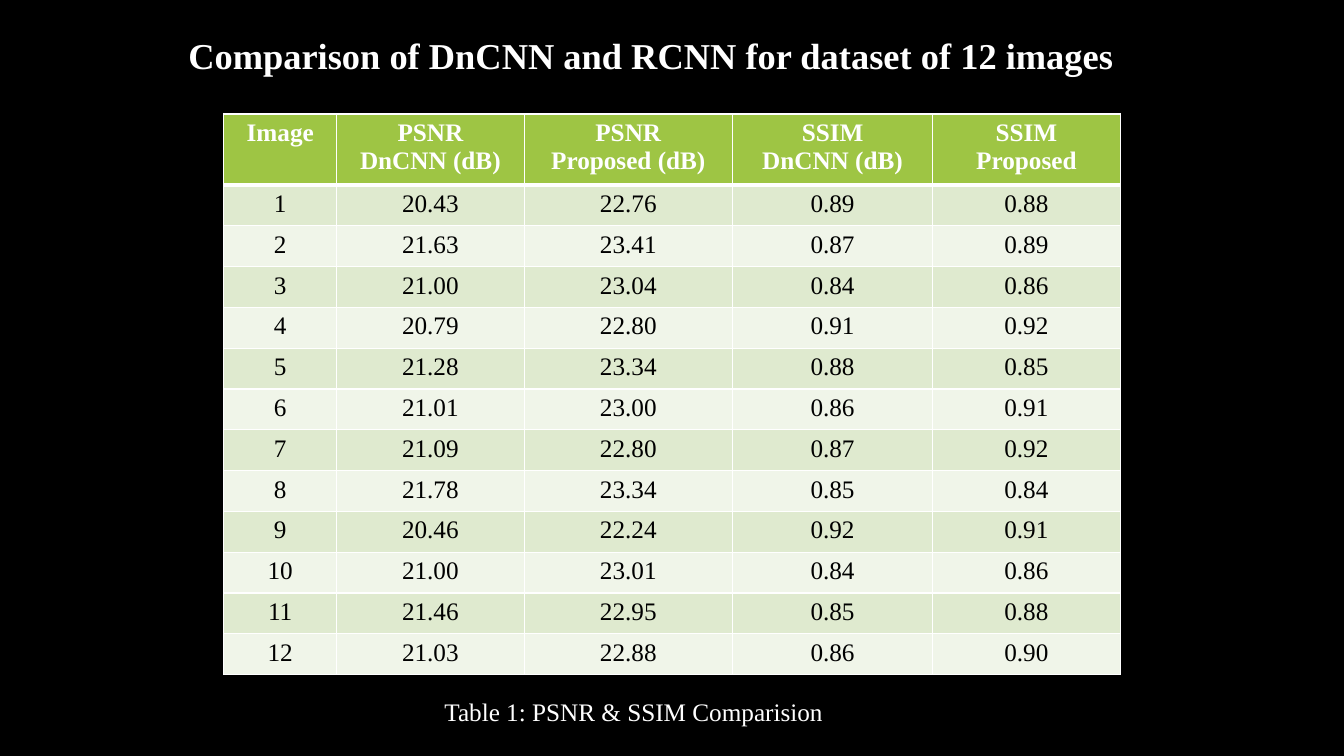
from pptx import Presentation
from pptx.dml.color import RGBColor
from pptx.enum.text import MSO_ANCHOR as Anchor, MSO_AUTO_SIZE as AutoSize, PP_ALIGN as Align
from pptx.oxml import parse_xml
from pptx.oxml.ns import nsdecls
from pptx.util import Inches, Pt

BLACK = RGBColor(0x00, 0x00, 0x00)
WHITE = RGBColor(0xFF, 0xFF, 0xFF)
GREEN = RGBColor(0x9E, 0xC5, 0x44)
BANDS = RGBColor(0xDF, 0xEA, 0xCF), RGBColor(0xF0, 0xF5, 0xE9)

HEADERS = ["Image", "PSNR\nDnCNN (dB)", "PSNR\nProposed (dB)", "SSIM\nDnCNN (dB)", "SSIM\nProposed"]
RESULTS = [
    ("20.43", "22.76", "0.89", "0.88"),
    ("21.63", "23.41", "0.87", "0.89"),
    ("21.00", "23.04", "0.84", "0.86"),
    ("20.79", "22.80", "0.91", "0.92"),
    ("21.28", "23.34", "0.88", "0.85"),
    ("21.01", "23.00", "0.86", "0.91"),
    ("21.09", "22.80", "0.87", "0.92"),
    ("21.78", "23.34", "0.85", "0.84"),
    ("20.46", "22.24", "0.92", "0.91"),
    ("21.00", "23.01", "0.84", "0.86"),
    ("21.46", "22.95", "0.85", "0.88"),
    ("21.03", "22.88", "0.86", "0.90"),
]


class ComparisonSlide:
    """Style and current slide; every length is a percentage of the slide's size."""

    font_name = "Times New Roman"
    text_size = 18
    title_size = 26
    thin, thick = 1, 3

    def __init__(self, presentation):
        self.width = presentation.slide_width
        self.height = presentation.slide_height
        self.slide = presentation.slides.add_slide(presentation.slide_layouts[5])
        background = self.slide.background.fill
        background.solid()
        background.fore_color.rgb = BLACK

    def across(self, percent):
        return int(self.width * percent / 100)

    def down(self, percent):
        return int(self.height * percent / 100)

    def box(self, left, top, width, height):
        return self.across(left), self.down(top), self.across(width), self.down(height)

    def set_text(self, frame, text, size, color, align, bold=False):
        frame.text = text
        for paragraph in frame.paragraphs:
            paragraph.alignment = align
            font = paragraph.font
            font.name, font.size, font.bold = self.font_name, Pt(size), bold
            font.color.rgb = color

    def title(self, text, *place):
        shape = self.slide.shapes.title
        shape.left, shape.top, shape.width, shape.height = self.box(*place)
        frame = shape.text_frame
        self.set_text(frame, text, self.title_size, WHITE, Align.CENTER, bold=True)
        frame.auto_size = AutoSize.NONE
        frame.word_wrap = False
        frame.vertical_anchor = Anchor.MIDDLE
        frame.margin_bottom = Inches(0.29)

    def caption(self, text, *place):
        frame = self.slide.shapes.add_textbox(*self.box(*place)).text_frame
        frame.word_wrap = True
        self.set_text(frame, text, self.text_size, WHITE, Align.LEFT)

    def borders(self, cell, top, bottom):
        """Draw white cell borders; top and bottom are widths in points."""
        properties = cell._tc.get_or_add_tcPr()
        for side, width in (("L", self.thin), ("R", self.thin), ("T", top), ("B", bottom)):
            properties.append(parse_xml(
                f'<a:ln{side} {nsdecls("a")} w="{Pt(width)}"><a:solidFill>'
                f'<a:srgbClr val="{WHITE}"/></a:solidFill></a:ln{side}>'))

    def table(self, rows, left, top, column_widths, header_height, row_height):
        height = header_height + row_height * (len(rows) - 1)
        place = self.box(left, top, sum(column_widths), height)
        table = self.slide.shapes.add_table(len(rows), len(column_widths), *place).table
        for column, width in zip(table.columns, column_widths):
            column.width = self.across(width)
        for index, values in enumerate(rows):
            is_header = index == 0
            table.rows[index].height = self.down(header_height if is_header else row_height)
            for cell, value in zip(table.rows[index].cells, values):
                self.borders(cell,
                             top=self.thick if index == 1 else self.thin,
                             bottom=self.thick if is_header else self.thin)
                cell.fill.solid()
                cell.fill.fore_color.rgb = GREEN if is_header else BANDS[(index - 1) % 2]
                self.set_text(cell.text_frame, value, self.text_size,
                              WHITE if is_header else BLACK, Align.CENTER, bold=is_header)


def main():
    presentation = Presentation()
    presentation.slide_width, presentation.slide_height = Inches(13.33), Inches(7.5)
    comparison = ComparisonSlide(presentation)
    comparison.title("Comparison of DnCNN and RCNN for dataset of 12 images", 12.98, 3.2, 70.97, 11.2)
    numbered_results = [(str(number), *values) for number, values in enumerate(RESULTS, 1)]
    comparison.table([HEADERS, *numbered_results], left=16.65, top=15.07,
                     column_widths=[8.4, 13.95, 15.5, 14.9, 13.95],
                     header_height=9.4, row_height=5.4)
    comparison.caption("Table 1: PSNR & SSIM Comparision", 32.33, 91.47, 32.26, 5.33)
    presentation.save("out.pptx")


if __name__ == "__main__":
    main()
